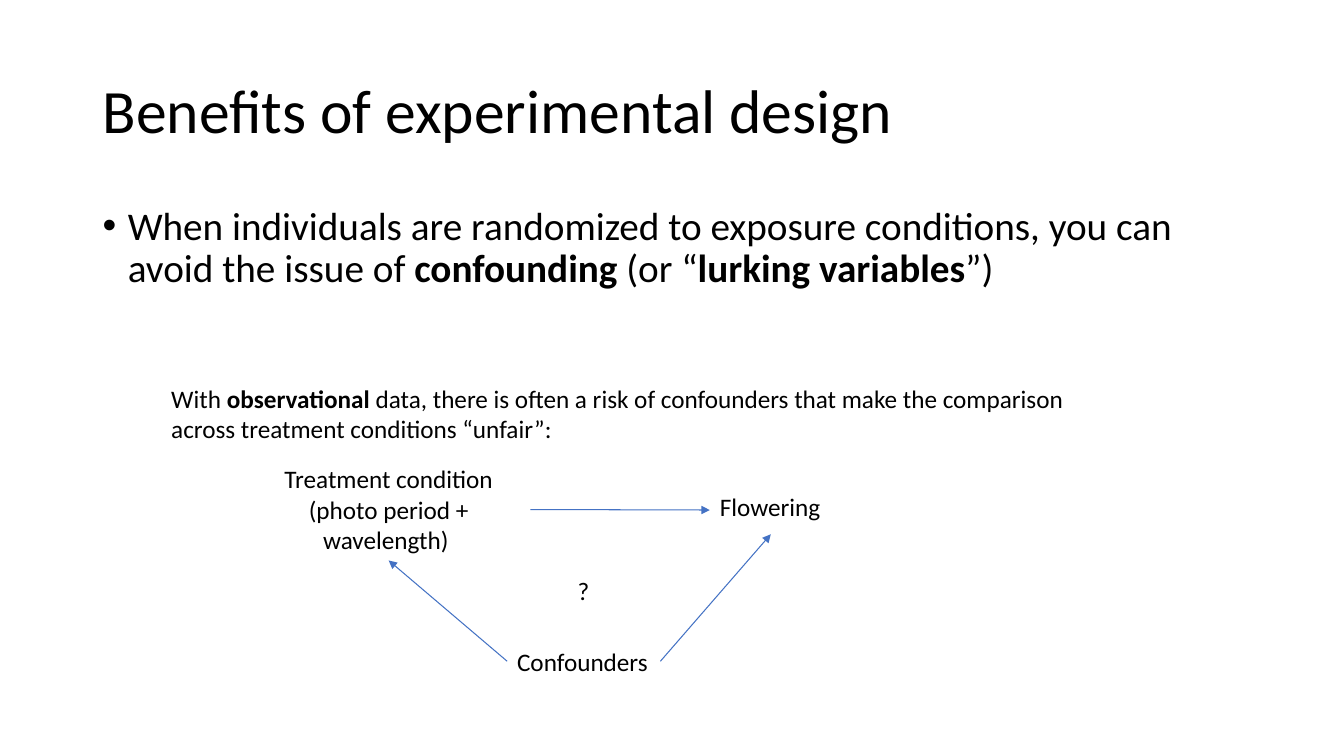
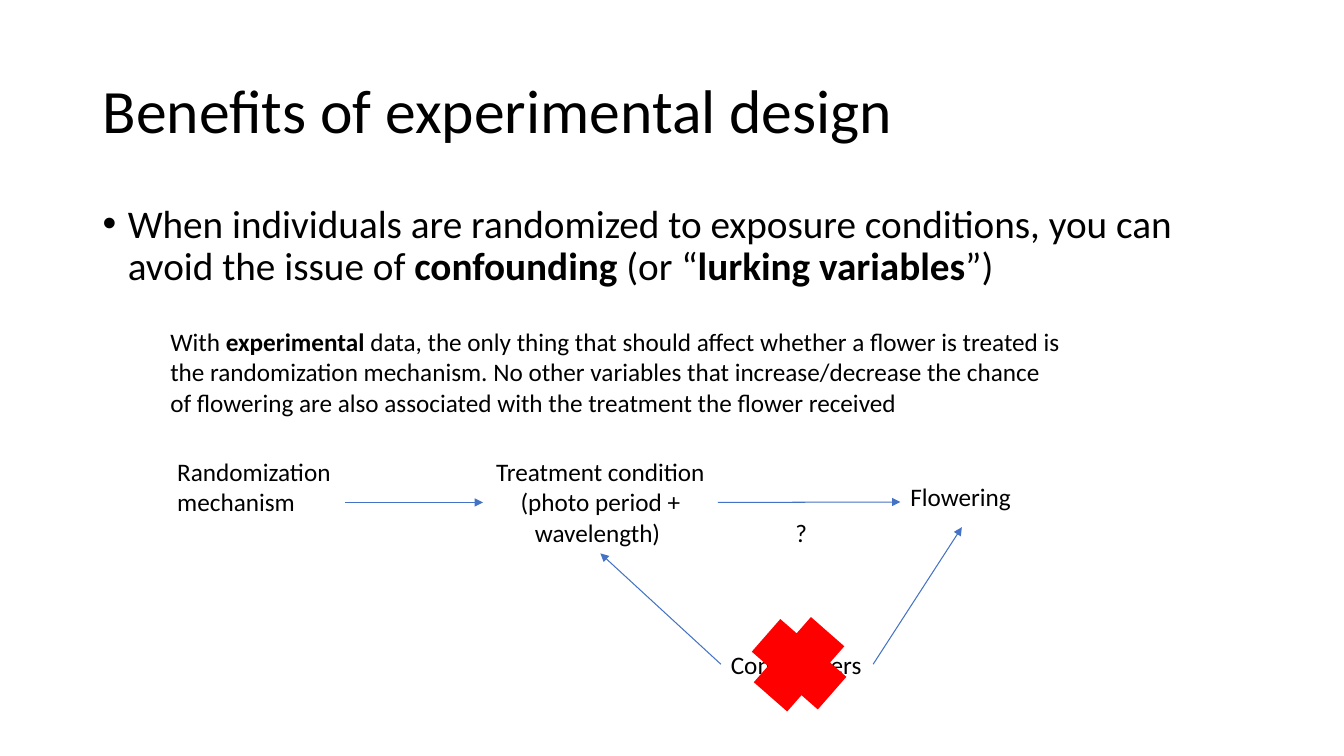
from lxml import etree
from pptx import Presentation
from pptx.dml.color import RGBColor
from pptx.enum import shapes, text
from pptx.oxml import ns
from pptx.util import Inches, Pt

BLACK = RGBColor(0x00, 0x00, 0x00)
BLUE = RGBColor(0x44, 0x72, 0xC4)
RED = RGBColor(0xFF, 0x00, 0x00)
FONT = "Calibri"
TOP, LEFT, BOTTOM, RIGHT = range(4)

# Text between double asterisks is bold. Boxes are left, top, width, height.
TITLE = "Benefits of experimental design"
TITLE_BOX = (0.92, 0.4, 11.5, 1.45)
BULLET = ("When individuals are randomized to exposure conditions, you can avoid "
          "the issue of **confounding** (or “**lurking variables**”)")
LABELS = {
    "randomization": "Randomization mechanism",
    "treatment": "Treatment condition (photo period + wavelength) ",
    "flowering": "Flowering",
    "question": "?",
    "confounders": "Confounders",
}
ARROWS = [
    ("randomization", RIGHT, "treatment", LEFT),
    ("treatment", RIGHT, "flowering", LEFT),
    ("confounders", RIGHT, "flowering", BOTTOM),
    ("confounders", LEFT, "treatment", BOTTOM),
]
SLIDES = [
    {
        "bullet_top": 2.0,
        "note": "With **observational** data, there is often a risk of confounders "
                "that make the comparison across treatment conditions “unfair”:",
        "note_box": (1.6, 3.75, 9.08, 0.71),
        "diagram": {
            "treatment": (2.45, 4.55, 2.81, 1.01),
            "flowering": (7.04, 4.82, 1.21, 0.48),
            "question": (5.63, 5.66, 0.32, 0.4),
            "confounders": (5.03, 6.36, 1.52, 0.4),
        },
    },
    {
        "bullet_top": 1.98,
        "note": "With **experimental** data, the only thing that should affect whether "
                "a flower is treated is the randomization mechanism. No other variables "
                "that increase/decrease the chance of flowering are also associated "
                "with the treatment the flower received",
        "note_box": (1.59, 3.19, 9.08, 1.01),
        "diagram": {
            "randomization": (1.66, 4.48, 1.76, 1.01),
            "treatment": (4.79, 4.48, 2.33, 1.01),
            "flowering": (8.93, 4.73, 1.22, 0.5),
            "question": (7.79, 5.08, 0.32, 0.4),
            "confounders": (7.15, 6.39, 1.51, 0.4),
        },
        "cross_box": (7.49, 6.16, 0.87, 0.86),
    },
]


def add_text(slide, box, content, size=18):
    """Add a text box, setting the parts between ** marks in bold."""
    label = slide.shapes.add_textbox(*map(Inches, box))
    label.text_frame.word_wrap = True
    paragraph = label.text_frame.paragraphs[0]
    for i, part in enumerate(content.split("**")):
        run = paragraph.add_run()
        run.text = part
        run.font.name = FONT
        run.font.size = Pt(size)
        run.font.bold = i % 2 == 1
        run.font.color.rgb = BLACK
    return label


def add_heading(slide, bullet_top):
    title = add_text(slide, TITLE_BOX, TITLE, 44)
    title.text_frame.vertical_anchor = text.MSO_ANCHOR.MIDDLE
    bullet = add_text(slide, (0.92, bullet_top, 11.5, 4.76), BULLET, 28)
    for part in (title, bullet):
        part.text_frame.paragraphs[0].line_spacing = 0.9
    props = bullet.text_frame.paragraphs[0]._p.get_or_add_pPr()
    props.set("marL", str(Inches(0.25)))
    props.set("indent", str(Inches(-0.25)))
    etree.SubElement(props, ns.qn("a:buFont"), typeface="Arial")
    etree.SubElement(props, ns.qn("a:buChar"), char="•")


def add_arrow(slide, start, start_side, end, end_side):
    arrow = slide.shapes.add_connector(shapes.MSO_CONNECTOR.STRAIGHT, 0, 0, 0, 0)
    arrow.begin_connect(start, start_side)
    arrow.end_connect(end, end_side)
    arrow.line.color.rgb = BLUE
    arrow.line.width = Pt(0.75)
    etree.SubElement(arrow.line._get_or_add_ln(), ns.qn("a:tailEnd"), type="triangle")
    etree.SubElement(arrow._element.spPr, ns.qn("a:effectLst"))


def add_diagram(slide, boxes):
    nodes = {key: add_text(slide, box, LABELS[key]) for key, box in boxes.items()}
    nodes["treatment"].text_frame.paragraphs[0].alignment = text.PP_ALIGN.CENTER
    for start, start_side, end, end_side in ARROWS:
        if start in nodes:
            add_arrow(slide, nodes[start], start_side, nodes[end], end_side)


def add_cross(slide, box):
    cross = slide.shapes.add_shape(shapes.MSO_SHAPE.CROSS, *map(Inches, box))
    cross.adjustments[0] = 0.25
    cross.rotation = 41.2
    cross.shadow.inherit = False
    cross.fill.solid()
    cross.fill.fore_color.rgb = RED
    cross.line.fill.background()


def main():
    deck = Presentation()
    deck.slide_width, deck.slide_height = Inches(13.33), Inches(7.5)
    for content in SLIDES:
        slide = deck.slides.add_slide(deck.slide_layouts[6])
        add_heading(slide, content["bullet_top"])
        add_text(slide, content["note_box"], content["note"])
        add_diagram(slide, content["diagram"])
        if "cross_box" in content:
            add_cross(slide, content["cross_box"])
    deck.save("out.pptx")


if __name__ == "__main__":
    main()
